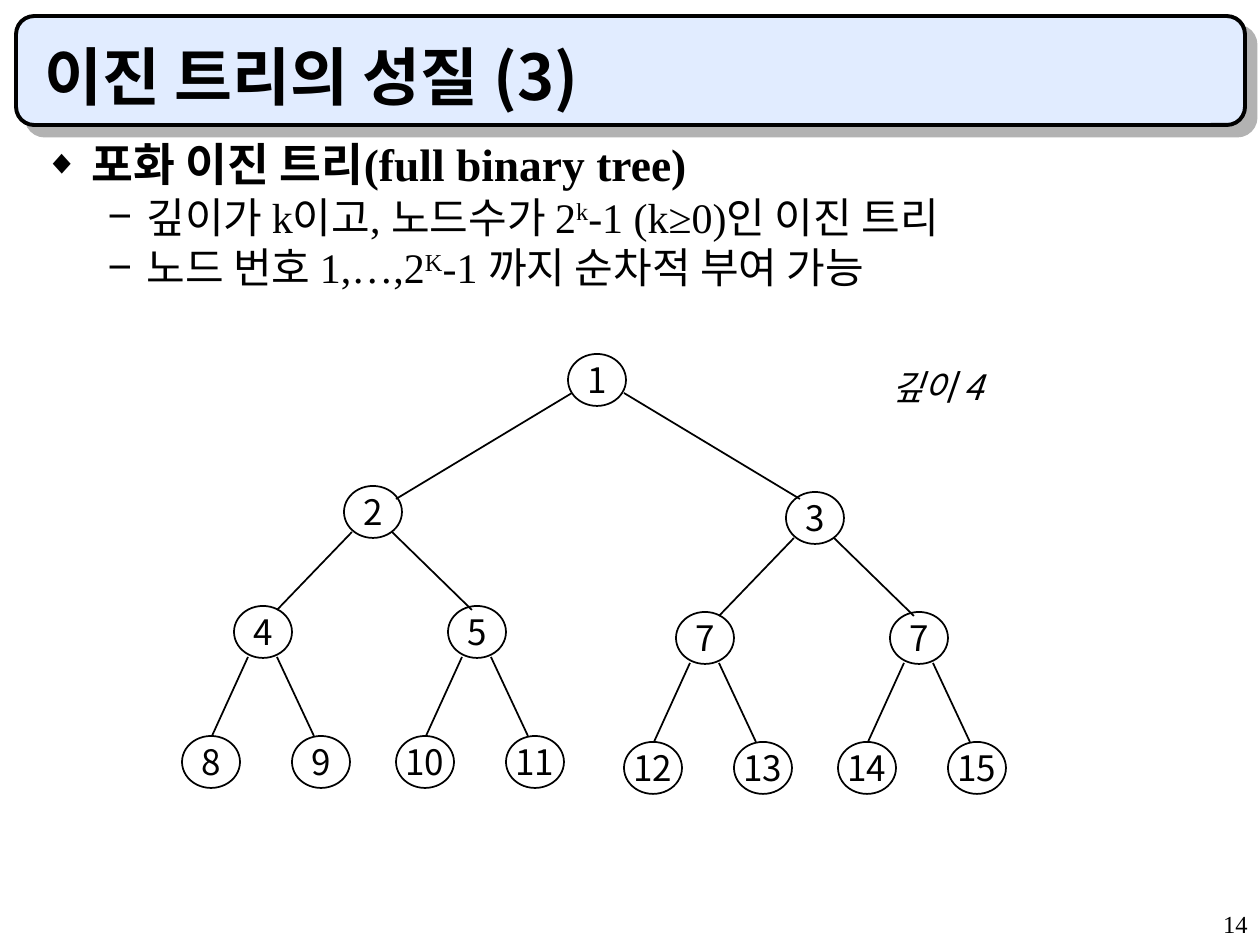
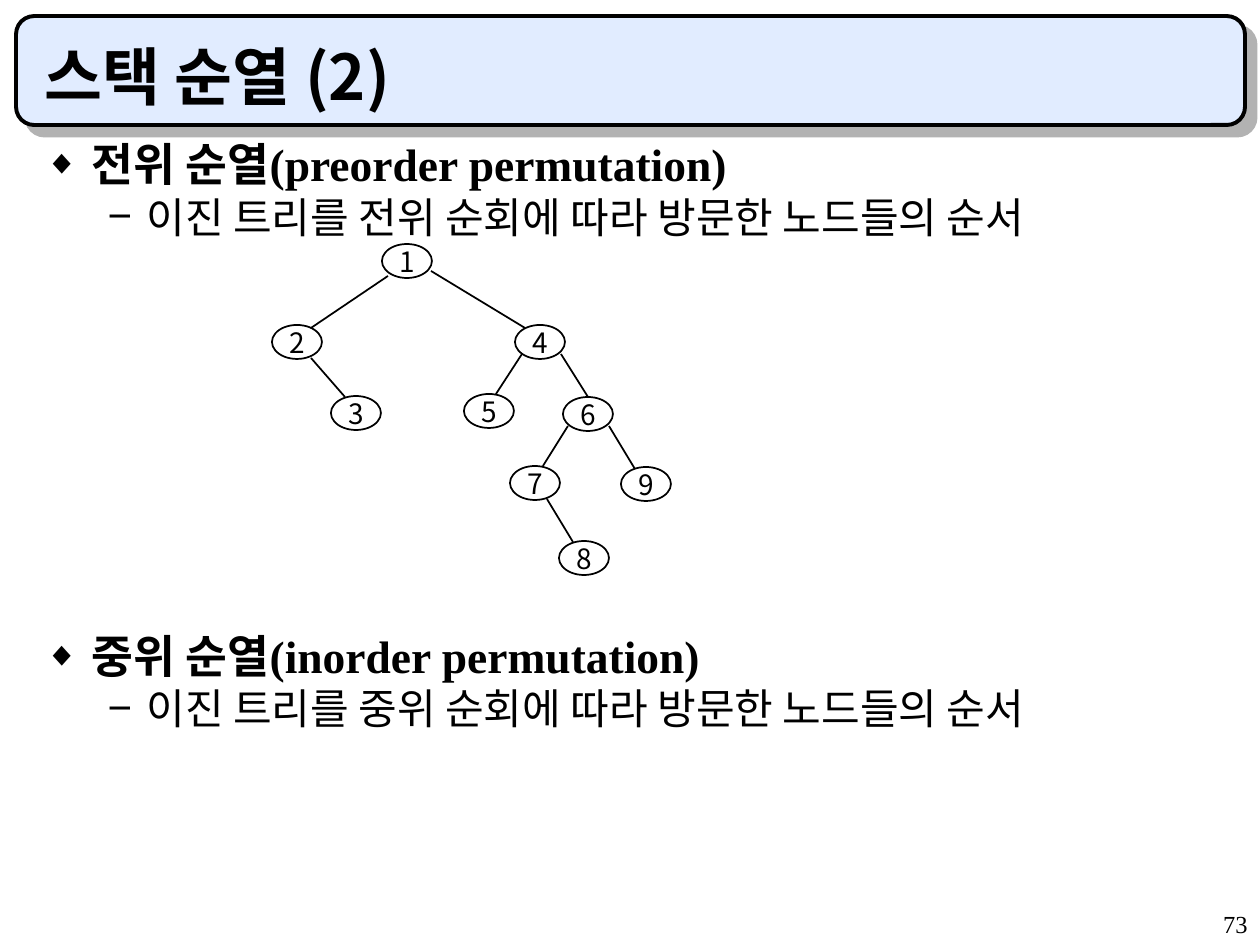
import pptx
import pptx.dml.color
import pptx.enum.shapes
import pptx.enum.text
import pptx.oxml
import pptx.oxml.ns
import pptx.util
from lxml import etree

PX = 914400 // 126
COLORS = {"ink": "000000", "band": "E1ECFF", "shadow": "B2B2B2"}
SANS, SERIF = "Noto Sans CJK KR", "Times New Roman"
ALIGN = pptx.enum.text.PP_ALIGN
ANCHOR = pptx.enum.text.MSO_ANCHOR
SHAPE = pptx.enum.shapes.MSO_SHAPE

# Outline levels: size, bold, line pitch, space before, margin, indent, bullet, bullet size
LEVELS = [
    (26, True, 25, 6.5, 47, -47, "◆", 75),
    (24, False, 23, 6, 102, -39, "−", 100),
]


def color(key):
    return pptx.dml.color.RGBColor.from_string(COLORS[key])


def add_xml(parent, tag, **attributes):
    child = etree.SubElement(parent, pptx.oxml.ns.qn(tag))
    for key, value in attributes.items():
        child.set(key, str(value))
    return child


class Deck:
    """Holds the style and the slide being drawn."""

    def __init__(self):
        self.presentation = pptx.Presentation()
        self.presentation.slide_width = pptx.util.Inches(10)
        self.presentation.slide_height = pptx.util.Inches(7.5)
        self.slide = None

    def new_slide(self, title, number):
        layout = self.presentation.slide_layouts[1]
        self.slide = self.presentation.slides.add_slide(layout)
        self.band()
        heading = self.slide.shapes.title
        self.place(heading, 32, 32, 1187, 84)
        frame = heading.text_frame
        frame.text = title
        frame.vertical_anchor = ANCHOR.BOTTOM
        frame.margin_bottom = 3 * PX
        frame.paragraphs[0].alignment = ALIGN.LEFT
        self.font(frame.paragraphs[0], 36, bold=True)
        self.label(number, 998, 903, 262, 42, 14, SERIF, align=ALIGN.RIGHT)

    def place(self, shape, left, top, width, height):
        shape.left, shape.top = left * PX, top * PX
        shape.width, shape.height = width * PX, height * PX

    def font(self, paragraph, size, face=SANS, bold=False, italic=False):
        font = paragraph.font
        font.size = pptx.util.Pt(size)
        font.bold, font.italic = bold, italic
        font.color.rgb = color("ink")
        font.name = face
        add_xml(font._element, "a:ea", typeface=SANS)

    def shape(self, preset, left, top, width, height, line_width, fill=None):
        shape = self.slide.shapes.add_shape(
            preset, left * PX, top * PX, width * PX, height * PX)
        shape.shadow.inherit = False
        if fill:
            shape.fill.solid()
            shape.fill.fore_color.rgb = color(fill)
        else:
            shape.fill.background()
        shape.line.color.rgb = color("ink")
        shape.line.width = pptx.util.Pt(line_width)
        return shape

    def band(self):
        band = self.shape(SHAPE.ROUNDED_RECTANGLE, 16, 16, 1229, 109, 2.25, "band")
        effects = band._element.spPr.find(pptx.oxml.ns.qn("a:effectLst"))
        shadow = add_xml(effects, "a:outerShdw", dist=pptx.util.Pt(8.5),
                         dir=45 * 60000, algn="ctr", rotWithShape=0)
        add_xml(shadow, "a:srgbClr", val=COLORS["shadow"])
        # The band lies behind the title and the outline
        self.slide.shapes._spTree.insert(2, band._element)

    def label(self, text, left, top, width, height, size, face=SANS,
              align=ALIGN.LEFT, italic=False):
        box = self.slide.shapes.add_textbox(
            left * PX, top * PX, width * PX, height * PX)
        box.text_frame.word_wrap = True
        box.text_frame.text = text
        paragraph = box.text_frame.paragraphs[0]
        paragraph.alignment = align
        self.font(paragraph, size, face, italic=italic)

    def outline(self, items):
        """Each item: level, text parts (every second one raised), extra gap in points."""
        body = self.slide.placeholders[1]
        self.place(body, 32, 136, 1187, 735)
        frame = body.text_frame
        frame.auto_size = pptx.enum.text.MSO_AUTO_SIZE.NONE
        frame.vertical_anchor = ANCHOR.TOP
        frame.margin_top = 11 * PX
        for index, (level, parts, gap) in enumerate(items):
            size, bold, pitch, before, margin, indent, bullet, scale = LEVELS[level]
            paragraph = frame.add_paragraph() if index else frame.paragraphs[0]
            paragraph.level = level
            paragraph.line_spacing = pptx.util.Pt(pitch)
            paragraph.space_before = pptx.util.Pt(before + gap if index else 0)
            properties = paragraph._p.get_or_add_pPr()
            properties.set("marL", str(margin * PX))
            properties.set("indent", str(indent * PX))
            bullet_color = add_xml(properties, "a:buClr")
            add_xml(bullet_color, "a:srgbClr", val=COLORS["ink"])
            add_xml(properties, "a:buSzPct", val=scale * 1000)
            add_xml(properties, "a:buChar", char=bullet)
            self.font(paragraph, size, SERIF, bold)
            for position, part in enumerate(parts):
                run = paragraph.add_run()
                run.text = part
                if position % 2:
                    run.font._element.set("baseline", "30000")

    def node(self, text, left, top, width, height, size):
        node = self.shape(SHAPE.OVAL, left, top, width, height, 1)
        frame = node.text_frame
        frame.text = text
        frame.word_wrap = False
        frame.vertical_anchor = ANCHOR.MIDDLE
        frame.paragraphs[0].alignment = ALIGN.CENTER
        self.font(frame.paragraphs[0], size)

    def edge(self, x1, y1, x2, y2):
        edge = self.slide.shapes.add_connector(
            pptx.enum.shapes.MSO_CONNECTOR.STRAIGHT,
            x1 * PX, y1 * PX, x2 * PX, y2 * PX)
        edge.line.color.rgb = color("ink")
        edge.line.width = pptx.util.Pt(1)
        add_xml(edge._element.spPr, "a:effectLst")


def full_tree(deck):
    def node(text, left, top):
        deck.node(text, left, top, 58, 52, 20)

    node("1", 568, 354)
    deck.edge(572, 393, 396, 499)
    deck.edge(624, 393, 800, 499)
    # Both halves share one form, and so do the two branches of each half
    halves = [
        (0, 0, "2", [("4", "8", "9"), ("5", "10", "11")]),
        (442, 6, "3", [("7", "12", "13"), ("7", "14", "15")]),
    ]
    for x, y, top_label, branches in halves:
        node(top_label, 344 + x, 486 + y)
        deck.edge(352 + x, 532 + y, 277 + x, 610 + y)
        deck.edge(392 + x, 532 + y, 472 + x, 610 + y)
        for index, (parent, left_leaf, right_leaf) in enumerate(branches):
            branch_x = x + 214 * index
            node(parent, 234 + branch_x, 606 + y)
            node(left_leaf, 182 + branch_x, 736 + y)
            node(right_leaf, 292 + branch_x, 736 + y)
            deck.edge(248 + branch_x, 657 + y, 212 + branch_x, 736 + y)
            deck.edge(277 + branch_x, 657 + y, 314 + branch_x, 736 + y)


def preorder_tree(deck):
    nodes = {
        "1": (382, 244), "2": (272, 325), "3": (331, 396),
        "4": (515, 325), "5": (464, 394), "6": (563, 397),
        "7": (510, 466), "8": (559, 541), "9": (621, 467),
    }
    edges = [
        (388, 276, 311, 328), (431, 271, 525, 328), (311, 358, 345, 397),
        (522, 354, 496, 394), (561, 354, 588, 397), (568, 426, 543, 466),
        (609, 426, 635, 469), (547, 499, 573, 542),
    ]
    for text, (left, top) in nodes.items():
        deck.node(text, left, top, 50, 34, 16)
    for ends in edges:
        deck.edge(*ends)


def main():
    deck = Deck()

    # Full binary tree
    deck.new_slide("이진 트리의 성질 (3)", "14")
    deck.outline([
        (0, ["포화 이진 트리(full binary tree)"], 0),
        (1, ["깊이가 k이고, 노드수가 2", "k", "-1 (k≥0)인 이진 트리"], 0),
        (1, ["노드 번호 1,…,2", "K", "-1 까지 순차적 부여 가능"], 0),
    ])
    full_tree(deck)
    deck.label("깊이 4", 879, 359, 127, 54, 20, italic=True)

    # Stack permutations, with room for the tree between the two topics
    deck.new_slide("스택 순열 (2)", "73")
    deck.outline([
        (0, ["전위 순열(preorder permutation)"], 0),
        (1, ["이진 트리를 전위 순회에 따라 방문한 노드들의 순서"], 0),
        (0, ["중위 순열(inorder permutation)"], 220.5),
        (1, ["이진 트리를 중위 순회에 따라 방문한 노드들의 순서"], 0),
    ])
    preorder_tree(deck)

    deck.presentation.save("out.pptx")


if __name__ == "__main__":
    main()
